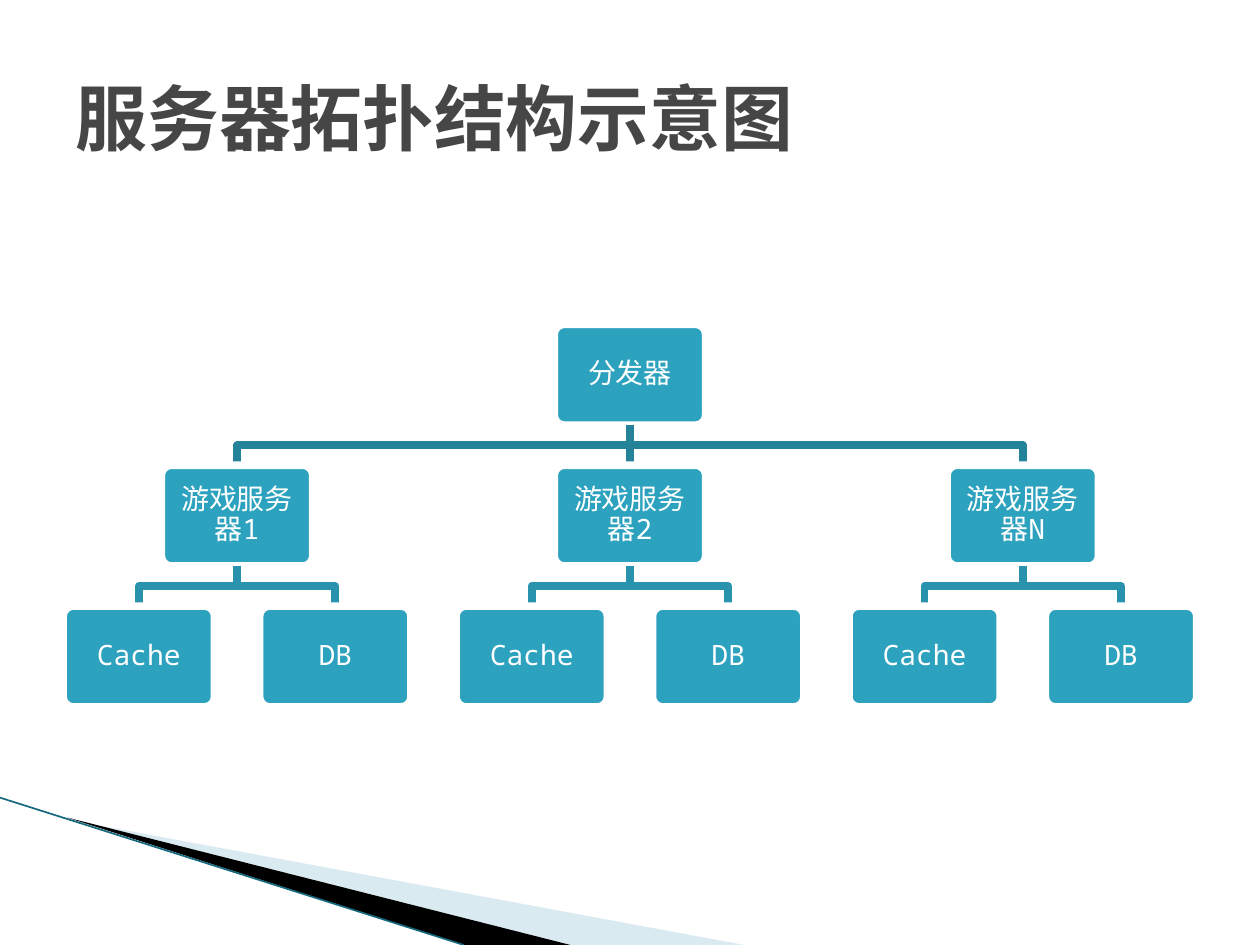
from lxml.etree import SubElement
from pptx import Presentation
from pptx.dml.color import RGBColor
from pptx.enum.shapes import MSO_CONNECTOR, MSO_SHAPE
from pptx.enum.text import MSO_ANCHOR, PP_ALIGN
from pptx.oxml.ns import qn
from pptx.util import Cm, Pt

FONT = "Noto Sans Mono"
COLORS = {
    "title": "464646", "box": "2DA2BF", "white": "FFFFFF", "black": "000000",
    "trunk": "248299", "branch": "2993AD", "pale": "A0CBDC", "edge": "15697D",
}
# Tree measures in cm
BOX_W, BOX_H = 3.05, 2.03
FIRST, STEP = 2.8, 3.96        # centre of the first leaf, leaf spacing
TOP, DROP = 6.54, 2.84         # top of the root, level spacing
SERVERS = ["游戏服务器1", "游戏服务器2", "游戏服务器N"]
STORES = ["Cache", "DB"]


def color(name):
    return RGBColor.from_string(COLORS[name])


def style(par, size, name, align, bold=False):
    par.alignment = align
    font = par.font
    font.name, font.size, font.bold = FONT, Pt(size), bold
    font.color.rgb = color(name)


def add_path(slide, points, close):
    pts = [(Cm(x), Cm(y)) for x, y in points]
    pen = slide.shapes.build_freeform(*pts[0])
    pen.add_line_segments(pts[1:], close=close)
    shape = pen.convert_to_shape()
    shape.shadow.inherit = False
    return shape


def add_wedge(slide, points, name, alpha=None):
    shape = add_path(slide, points, True)
    shape.fill.solid()
    shape.fill.fore_color.rgb = color(name)
    shape.line.fill.background()
    if alpha:
        tint = shape.fill._xPr.find(".//" + qn("a:srgbClr"))
        SubElement(tint, qn("a:alpha"), val=str(alpha * 1000))


def add_edge(slide, start, end):
    line = slide.shapes.add_connector(
        MSO_CONNECTOR.STRAIGHT, *(Cm(v) for v in start + end))
    line.line.color.rgb = color("edge")
    line.line.width = Pt(0.95)
    SubElement(line._element.spPr, qn("a:effectLst"))


def add_title(slide, text):
    title = slide.shapes.title
    title.left, title.top = Cm(1.27), Cm(0.76)
    title.width, title.height = Cm(22.86), Cm(3.18)
    frame = title.text_frame
    frame.text = text
    frame.vertical_anchor = MSO_ANCHOR.MIDDLE
    style(frame.paragraphs[0], 41, "title", PP_ALIGN.LEFT, True)


def add_box(slide, mid, level, text):
    box = slide.shapes.add_shape(
        MSO_SHAPE.ROUNDED_RECTANGLE, Cm(mid - BOX_W / 2),
        Cm(TOP + level * DROP), Cm(BOX_W), Cm(BOX_H))
    box.adjustments[0] = 0.1
    box.shadow.inherit = False
    box.fill.solid()
    box.fill.fore_color.rgb = color("box")
    box.line.color.rgb = color("white")
    box.line.width = Pt(4.33)
    frame = box.text_frame
    frame.word_wrap = True
    frame.vertical_anchor = MSO_ANCHOR.MIDDLE
    frame.margin_left = frame.margin_right = Cm(0.18)
    frame.margin_top = frame.margin_bottom = Cm(0.18)
    frame.text = text
    par = frame.paragraphs[0]
    style(par, 16, "white", PP_ALIGN.CENTER)
    par.line_spacing = 0.9


def add_link(slide, start, end, level, name):
    """Join a box on this level to one on the next."""
    top, low = TOP + level * DROP + BOX_H, TOP + (level + 1) * DROP
    points = [(start, top), (end, low)]
    if start != end:
        bend = (top + low) / 2
        points[1:1] = [(start, bend), (end, bend)]
    link = add_path(slide, points, False)
    link.fill.background()
    link.line.color.rgb = color(name)
    link.line.width = Pt(4.33)


def add_tree(slide):
    count = len(STORES)
    leaves = [FIRST + i * STEP for i in range(len(SERVERS) * count)]
    groups = [leaves[i:i + count] for i in range(0, len(leaves), count)]
    mids = [sum(group) / count for group in groups]
    root = mids[1]
    add_box(slide, root, 0, "分发器")
    for mid, group, server in zip(mids, groups, SERVERS):
        add_link(slide, root, mid, 0, "trunk")
        add_box(slide, mid, 1, server)
        for leaf, store in zip(group, STORES):
            add_link(slide, mid, leaf, 1, "branch")
            add_box(slide, leaf, 2, store)


def main():
    deck = Presentation()
    deck.slide_width, deck.slide_height = Cm(25.4), Cm(19.05)
    slide = deck.slides.add_slide(deck.slide_layouts[5])

    # Corner decoration
    add_wedge(slide, [(1.4, 16.53), (15, 19.05), (11.5, 19.05)], "pale", 40)
    add_wedge(slide, [(1.35, 16.48), (11.5, 19.05), (9.35, 19.05)], "black")
    add_edge(slide, (0, 16.08), (9.35, 19.05))

    # Title and server tree
    add_title(slide, "服务器拓扑结构示意图")
    add_tree(slide)
    deck.save("out.pptx")


if __name__ == "__main__":
    main()
